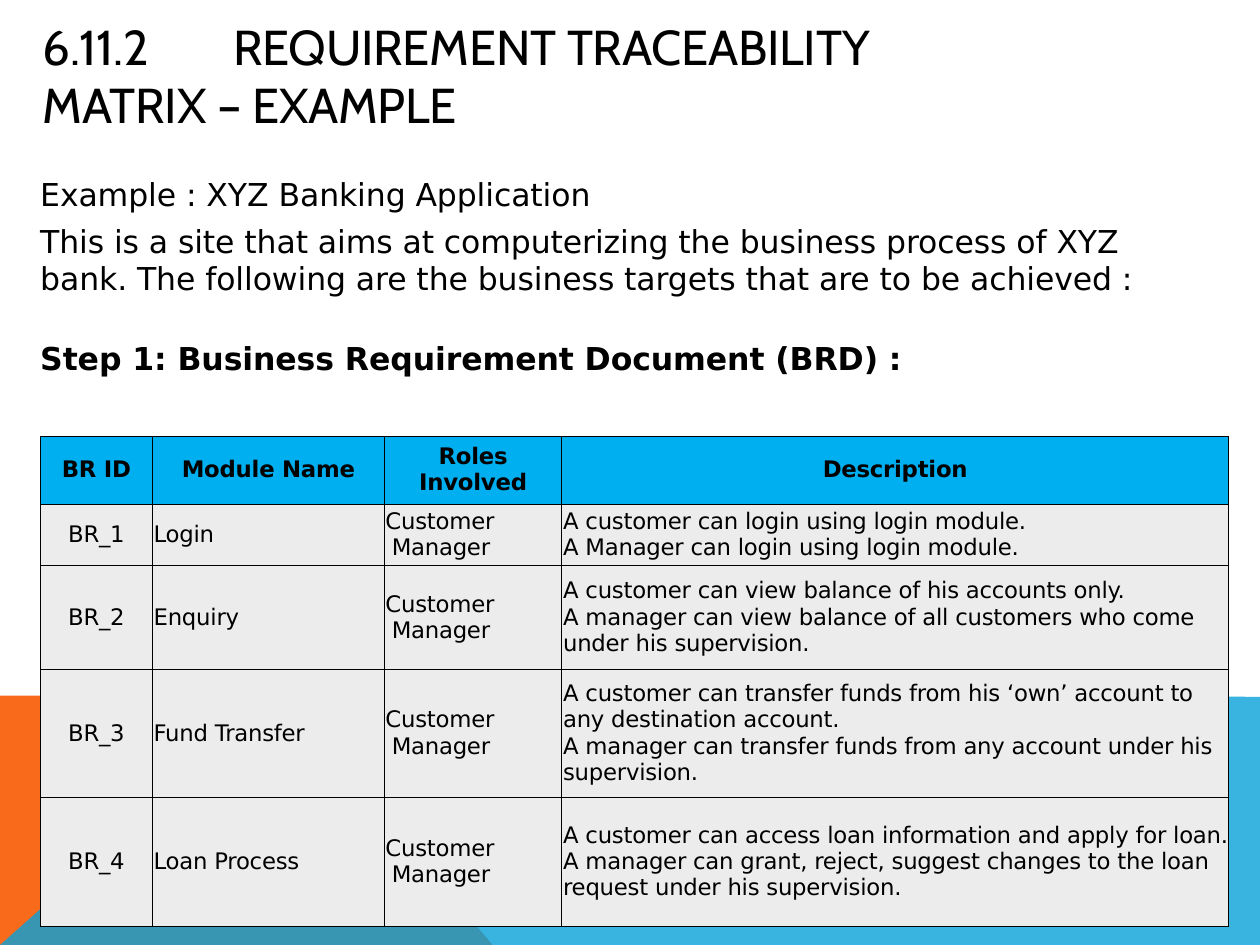
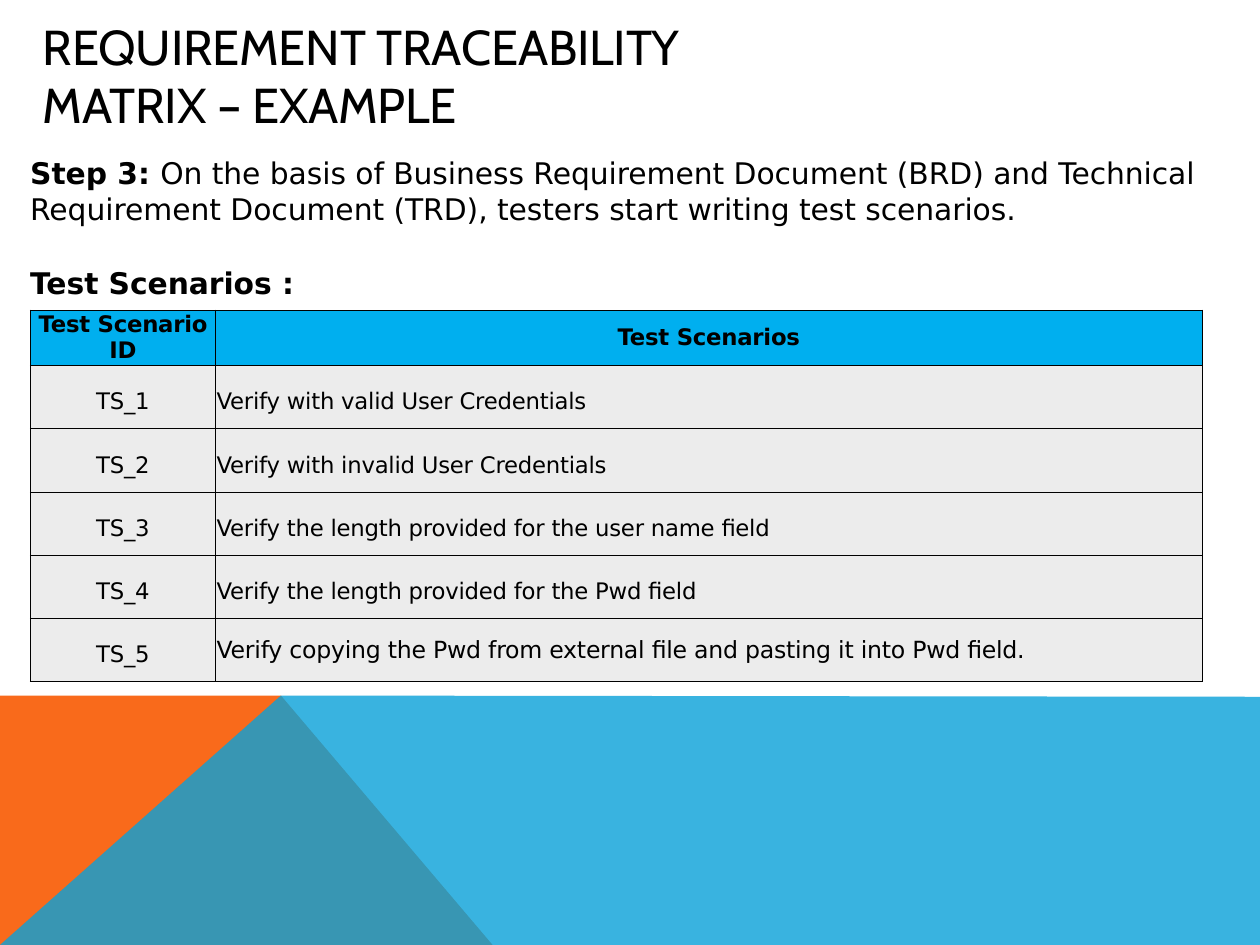
from lxml import etree
from pptx import Presentation
from pptx.dml.color import RGBColor
from pptx.enum.text import MSO_ANCHOR, MSO_AUTO_SIZE, PP_ALIGN
from pptx.oxml.ns import qn
from pptx.util import Pt

LEFT, CENTER = PP_ALIGN.LEFT, PP_ALIGN.CENTER
MIDDLE, TOP = MSO_ANCHOR.MIDDLE, MSO_ANCHOR.TOP
GROW = MSO_AUTO_SIZE.SHAPE_TO_FIT_TEXT

EMU_PER_PX = 9144
SLIDE_WIDTH, SLIDE_HEIGHT = 1000, 750
BAND_TOP, BAND_PEAK, BAND_FOOT = 552, 223, 391
TITLE_ONLY = 5
COLORS = {
    "text": "000000",
    "border": "000000",
    "header": "00AFEF",
    "cell": "ECECEC",
    "orange": "F96A1B",
    "blue": "08A1D9",
}
TITLE_FONT, BODY_FONT = "Cabin", "DejaVu Sans"
TITLE_SIZE, TABLE_SIZE = 28, 13


def px(length):
    return round(length * EMU_PER_PX)


def write_text(paragraph, text, size, font=BODY_FONT, bold=False, color="text",
               align=LEFT, spacing=-10, before=0):
    paragraph.alignment = align
    paragraph.space_before = Pt(before)
    run = paragraph.add_run()
    run.text = text
    run.font.name = font
    run.font.size = Pt(size)
    run.font.bold = bold
    run.font.color.rgb = RGBColor.from_string(COLORS[color])
    run._r.get_or_add_rPr().set("spc", str(spacing))


def set_indent(paragraph, left):
    paragraph._p.get_or_add_pPr().set("marL", str(px(left)))


def add_tab_stop(paragraph, position):
    tabs = etree.SubElement(paragraph._p.get_or_add_pPr(), qn("a:tabLst"))
    etree.SubElement(tabs, qn("a:tab"), pos=str(px(position)), algn="l")


def add_cell_borders(cell, width=0.5):
    properties = cell._tc.get_or_add_tcPr()
    for index, side in enumerate(("lnL", "lnR", "lnT", "lnB")):
        line = etree.Element(qn(f"a:{side}"), w=str(Pt(width)))
        fill = etree.SubElement(line, qn("a:solidFill"))
        etree.SubElement(fill, qn("a:srgbClr"), val=COLORS["border"])
        properties.insert(index, line)


class Deck:
    def __init__(self):
        self.presentation = Presentation()
        self.presentation.slide_width = px(SLIDE_WIDTH)
        self.presentation.slide_height = px(SLIDE_HEIGHT)
        self.slide = None

    def add_slide(self, title, title_width, tab=None):
        layout = self.presentation.slide_layouts[TITLE_ONLY]
        self.slide = self.presentation.slides.add_slide(layout)
        self.add_band([(0, SLIDE_HEIGHT), (0, BAND_TOP), (BAND_PEAK, BAND_TOP),
                       (BAND_FOOT, SLIDE_HEIGHT)], "orange")
        self.add_band([(0, SLIDE_HEIGHT), (BAND_PEAK, BAND_TOP), (SLIDE_WIDTH, BAND_TOP + 1),
                       (SLIDE_WIDTH, SLIDE_HEIGHT)], "blue", opacity=80)
        self.add_title(title, title_width, tab)

    def add_band(self, points, color, opacity=100):
        builder = self.slide.shapes.build_freeform(*points[0], scale=EMU_PER_PX)
        builder.add_line_segments(points[1:], close=True)
        shape = builder.convert_to_shape()
        shape.shadow.inherit = False
        shape.line.fill.background()
        shape.fill.solid()
        shape.fill.fore_color.rgb = RGBColor.from_string(COLORS[color])
        if opacity < 100:
            fill_color = shape._element.spPr.find(".//" + qn("a:srgbClr"))
            etree.SubElement(fill_color, qn("a:alpha"), val=str(opacity * 1000))

    def prepare_frame(self, shape, anchor, top_inset):
        frame = shape.text_frame
        frame.word_wrap = True
        frame.auto_size = GROW
        frame.vertical_anchor = anchor
        frame.margin_left = frame.margin_right = frame.margin_bottom = 0
        frame.margin_top = px(top_inset)
        return frame

    def add_title(self, text, width, tab):
        shape = self.slide.shapes.title
        shape.left, shape.top, shape.width, shape.height = map(px, (33, 41, width, 36))
        paragraph = self.prepare_frame(shape, MIDDLE, 1).paragraphs[0]
        set_indent(paragraph, 1)
        write_text(paragraph, text, TITLE_SIZE, font=TITLE_FONT)
        if tab:
            add_tab_stop(paragraph, tab)

    def add_body(self, box, paragraphs, size, top_inset):
        shape = self.slide.shapes.add_textbox(*map(px, box))
        frame = self.prepare_frame(shape, TOP, top_inset)
        for index, (before, runs) in enumerate(paragraphs):
            paragraph = frame.add_paragraph() if index else frame.paragraphs[0]
            set_indent(paragraph, 1)
            for text, bold in runs:
                write_text(paragraph, text, size, bold=bold, spacing=-5, before=before)

    def add_table(self, left, top, widths, heights, rows, next_line_indents=None, drop=0):
        table = self.slide.shapes.add_table(
            len(rows), len(widths), px(left), px(top), px(sum(widths)), px(sum(heights))).table
        table.first_row = table.horz_banding = False
        for column, width in zip(table.columns, widths):
            column.width = px(width)
        for row, height in zip(table.rows, heights):
            row.height = px(height)
        indents = next_line_indents or [1] * len(widths)
        for row_index, row in enumerate(rows):
            for column_index, text in enumerate(row):
                self.fill_cell(table.cell(row_index, column_index), text, row_index == 0,
                               column_index == 0, indents[column_index], drop)
        return table

    def fill_cell(self, cell, text, header, first_column, next_line_indent, drop):
        cell.margin_left = cell.margin_right = cell.margin_bottom = 0
        cell.margin_top = 0 if header else px(drop)
        cell.vertical_anchor = MIDDLE
        cell.fill.solid()
        cell.fill.fore_color.rgb = RGBColor.from_string(COLORS["header" if header else "cell"])
        add_cell_borders(cell)
        centered = header or first_column
        for index, line in enumerate(text.split("\n")):
            paragraph = cell.text_frame.add_paragraph() if index else cell.text_frame.paragraphs[0]
            if not centered:
                set_indent(paragraph, next_line_indent if index else 1)
            write_text(paragraph, line, TABLE_SIZE, bold=header,
                       align=CENTER if centered else LEFT)


def add_business_requirements(deck):
    deck.add_slide("6.11.2\tREQUIREMENT TRACEABILITY MATRIX – EXAMPLE", 751, tab=151)
    deck.add_body((31, 131, 883, 171), [
        (6, [("Example : XYZ Banking Application", False)]),
        (5, [("This is a site that aims at computerizing the business process of XYZ bank. "
              "The following are the business targets that are to be achieved :", False)]),
        (24, [("Step 1: Business Requirement Document (BRD) :", True)]),
    ], size=18, top_inset=8)
    roles = "Customer\nManager"
    modules = [
        ("Login", "A customer can login using login module.\n"
                  "A Manager can login using login module."),
        ("Enquiry", "A customer can view balance of his accounts only.\n"
                    "A manager can view balance of all customers who come under his supervision."),
        ("Fund Transfer", "A customer can transfer funds from his ‘own’ account to any "
                          "destination account.\nA manager can transfer funds from any account "
                          "under his supervision."),
        ("Loan Process", "A customer can access loan information and apply for loan.\n"
                         "A manager can grant, reject, suggest changes to the loan request "
                         "under his supervision."),
    ]
    rows = [("BR ID", "Module Name", "Roles Involved", "Description")]
    rows += [(f"BR_{number}", module, roles, description)
             for number, (module, description) in enumerate(modules, 1)]
    deck.add_table(32, 346, (89, 184, 141, 529), (54, 49, 82, 102, 102), rows,
                   next_line_indents=(1, 1, 6, 1))


def add_test_scenarios(deck):
    deck.add_slide("REQUIREMENT TRACEABILITY MATRIX – EXAMPLE", 601)
    deck.add_body((23, 122, 935, 120), [
        (1, [("Step 3: ", True),
             ("On the basis of Business Requirement Document (BRD) and Technical Requirement "
              "Document (TRD), testers start writing test scenarios.", False)]),
        (22, [("Test Scenarios :", True)]),
    ], size=17, top_inset=1)
    scenarios = [
        "Verify with valid User Credentials",
        "Verify with invalid User Credentials",
        "Verify the length provided for the user name field",
        "Verify the length provided for the Pwd field",
        "Verify copying the Pwd from external file and pasting it into Pwd field.",
    ]
    rows = [("Test Scenario ID", "Test Scenarios")]
    rows += [(f"TS_{number}", scenario) for number, scenario in enumerate(scenarios, 1)]
    table = deck.add_table(24, 246, (147, 783), (44, 50, 51, 50, 50, 50), rows, drop=8)
    last_cell = table.cell(len(scenarios), 1)
    last_cell.margin_top = 0
    last_cell.text_frame.paragraphs[0].runs[0].font.size = Pt(13.5)


def main():
    deck = Deck()
    add_business_requirements(deck)
    add_test_scenarios(deck)
    deck.presentation.save("out.pptx")


if __name__ == "__main__":
    main()
